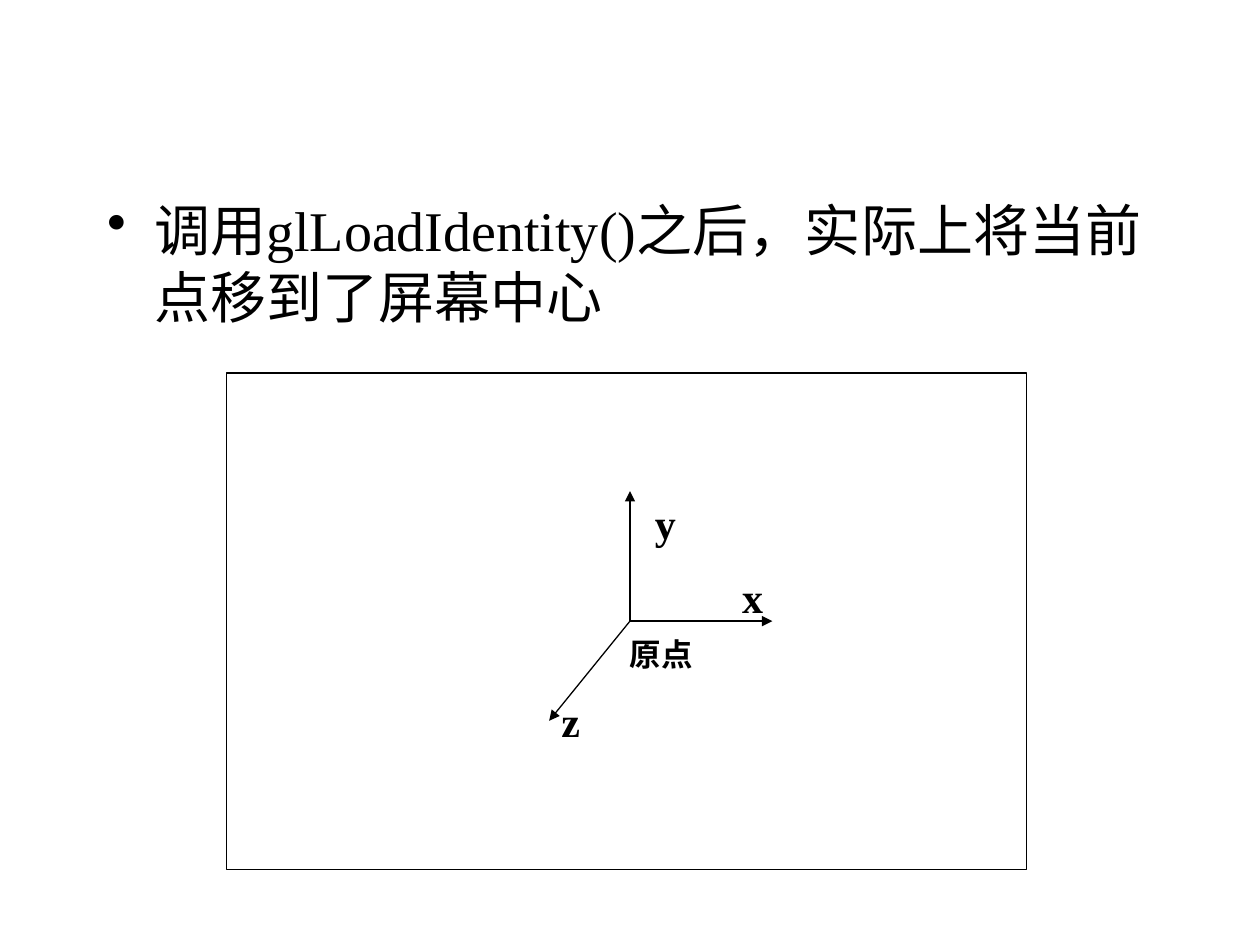
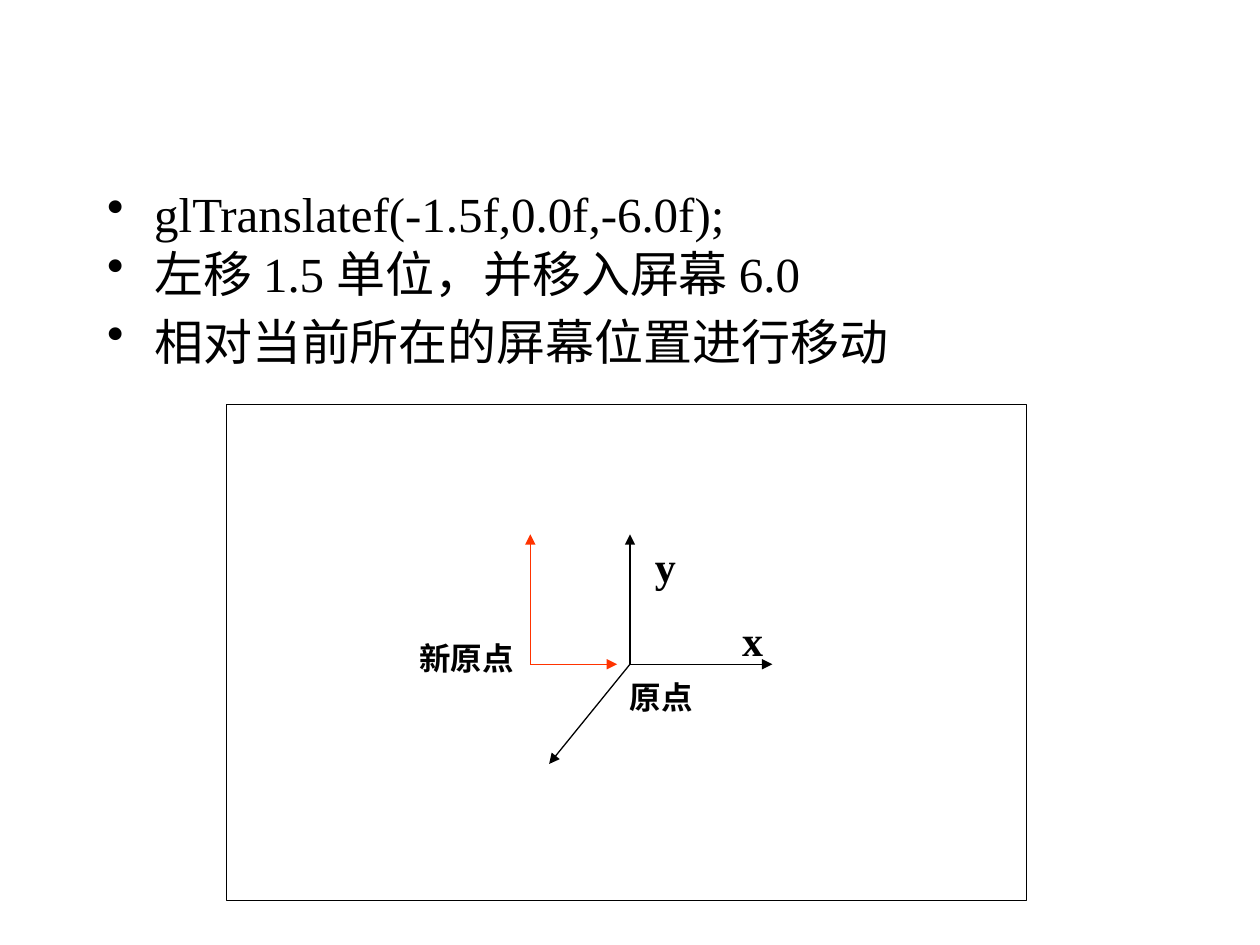
from dataclasses import dataclass

from lxml.etree import SubElement
from pptx import Presentation
from pptx.dml.color import RGBColor
from pptx.enum.shapes import MSO_CONNECTOR, MSO_SHAPE
from pptx.enum.text import MSO_AUTO_SIZE, PP_ALIGN
from pptx.oxml.ns import qn
from pptx.util import Cm, Pt


@dataclass(frozen=True)
class Theme:
    font: str = "Times New Roman"
    ink: RGBColor = RGBColor(0, 0, 0)
    moved: RGBColor = RGBColor(0xFF, 0x33, 0x00)
    line: float = 0.75
    axis_name: int = 24
    origin_name: int = 18
    single_point: int = 32
    several_points: int = 28


THEME = Theme()

# Lengths in centimetres
BODY = (1.91, 3.81, 21.59, 13.13)
FRAME_LEFT, FRAME_WIDTH, FRAME_HEIGHT = 4.57, 16.13, 10.01
ORIGIN_X = 8.13
INDENT = 0.95

# Axis tips and label corners, measured from the origin
X_TIP, Y_TIP, Z_TIP = (2.87, 0), (0, -2.62), (-1.63, 2.01)
X_LABEL, Y_LABEL, Z_LABEL = (2.01, -1.12), (0.25, -2.62), (-1.63, 1.37)
ORIGIN_LABEL, NEW_ORIGIN_LABEL = (-0.25, 0.15), (-4.5, -0.64)
SHIFT, MOVED_X_TIP = -2.01, (1.75, 0)


def style(paragraph, size, bold=False):
    font = paragraph.font
    font.name, font.size, font.bold = THEME.font, Pt(size), bold
    font.color.rgb = THEME.ink
    paragraph.alignment = PP_ALIGN.LEFT


def add_points(slide, box, points, size, line_spacing=1.0):
    """Bulleted text; points are (text, space before) pairs."""
    frame = slide.shapes.add_textbox(*map(Cm, box)).text_frame
    frame.word_wrap = True
    for i, (text, space_before) in enumerate(points):
        paragraph = frame.add_paragraph() if i else frame.paragraphs[0]
        paragraph.text = text
        paragraph.line_spacing = line_spacing
        paragraph.space_before = Pt(space_before)
        properties = paragraph._p.get_or_add_pPr()
        properties.set("marL", str(Cm(INDENT)))
        properties.set("indent", str(-Cm(INDENT)))
        SubElement(properties, qn("a:buChar"), char="•")
        style(paragraph, size)


def add_axis(shapes, origin, tip, color):
    x, y = origin
    axis = shapes.add_connector(MSO_CONNECTOR.STRAIGHT, Cm(x), Cm(y),
                                Cm(x + tip[0]), Cm(y + tip[1]))
    axis.line.color.rgb = color
    axis.line.width = Pt(THEME.line)
    SubElement(axis.line._get_or_add_ln(), qn("a:tailEnd"), type="triangle")
    SubElement(axis._element.spPr, qn("a:effectLst"))


def add_label(shapes, origin, offset, text, size, width, height):
    label = shapes.add_textbox(Cm(origin[0] + offset[0]), Cm(origin[1] + offset[1]),
                               Cm(width), Cm(height))
    frame = label.text_frame
    frame.word_wrap = True
    frame.auto_size = MSO_AUTO_SIZE.SHAPE_TO_FIT_TEXT
    frame.text = text
    style(frame.paragraphs[0], size, bold=True)


def add_axis_name(shapes, origin, offset, text):
    add_label(shapes, origin, offset, text, THEME.axis_name, 2.26, 1.27)


def add_origin_name(shapes, origin, offset, text):
    add_label(shapes, origin, offset, text, THEME.origin_name, 2.62, 1.02)


def add_screen(shapes, top, origin_y):
    """Screen outline with the x, y and z axes; returns the origin."""
    screen = shapes.add_shape(MSO_SHAPE.RECTANGLE, Cm(FRAME_LEFT), Cm(top),
                              Cm(FRAME_WIDTH), Cm(FRAME_HEIGHT))
    screen.shadow.inherit = False
    screen.fill.background()
    screen.line.color.rgb = THEME.ink
    screen.line.width = Pt(THEME.line)

    origin = (FRAME_LEFT + ORIGIN_X, top + origin_y)
    for tip in (X_TIP, Y_TIP, Z_TIP):
        add_axis(shapes, origin, tip, THEME.ink)
    add_axis_name(shapes, origin, X_LABEL, "x")
    add_axis_name(shapes, origin, Y_LABEL, "y")
    add_origin_name(shapes, origin, ORIGIN_LABEL, "原点")
    return origin


def add_identity_slide(slide):
    add_points(slide, BODY, [("调用glLoadIdentity()之后，实际上将当前点移到了屏幕中心", 0)],
               THEME.single_point)
    origin = add_screen(slide.shapes, top=7.52, origin_y=5)
    add_axis_name(slide.shapes, origin, Z_LABEL, "z")


def add_translate_slide(slide):
    add_points(slide, BODY, [
        ("glTranslatef(-1.5f,0.0f,-6.0f);", 0),
        ("左移 1.5 单位，并移入屏幕 6.0", 7),
        ("相对当前所在的屏幕位置进行移动", 12),
    ], THEME.several_points, line_spacing=0.8)

    shapes = slide.shapes.add_group_shape().shapes
    origin = add_screen(shapes, top=8.15, origin_y=5.24)

    # Axes after the translation
    new_origin = (origin[0] + SHIFT, origin[1])
    for tip in (MOVED_X_TIP, Y_TIP):
        add_axis(shapes, new_origin, tip, THEME.moved)
    add_origin_name(shapes, origin, NEW_ORIGIN_LABEL, "新原点")


def main():
    deck = Presentation()
    deck.slide_width, deck.slide_height = Cm(25.4), Cm(19.05)
    blank = deck.slide_layouts[6]
    for build in (add_identity_slide, add_translate_slide):
        build(deck.slides.add_slide(blank))
    deck.save("out.pptx")


if __name__ == "__main__":
    main()
